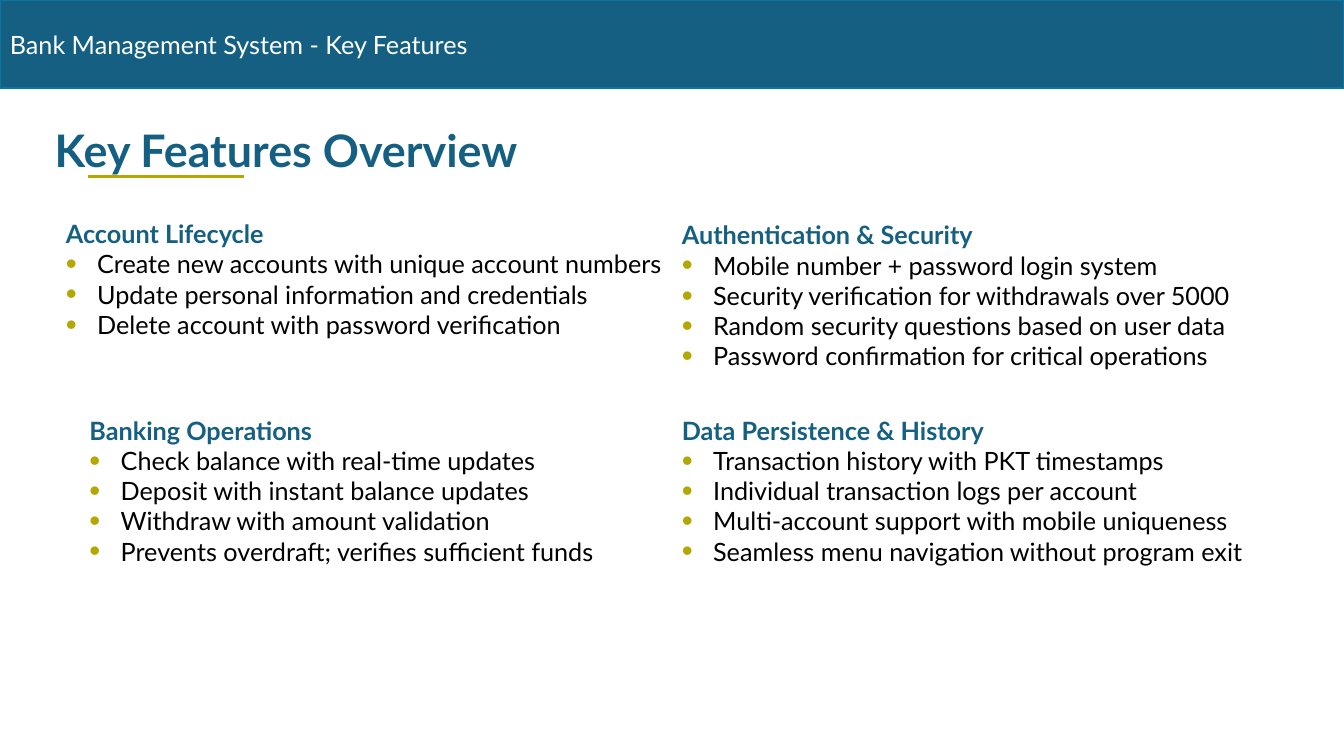
from lxml import etree
from pptx import Presentation
from pptx import util as u
from pptx.dml.color import RGBColor
from pptx.enum import shapes, text
from pptx.oxml import ns

SLIDE_WIDTH, SLIDE_HEIGHT = u.Inches(13.333), u.Inches(7.5)
COLUMN, ROW = SLIDE_WIDTH / 120, SLIDE_HEIGHT / 120

BLUE = RGBColor(0x15, 0x60, 0x82)
BORDER_BLUE = RGBColor(0x0B, 0x76, 0xA0)
OLIVE = RGBColor(0xB4, 0xA7, 0x00)
WHITE = RGBColor(0xFF, 0xFF, 0xFF)
BLACK = RGBColor(0x00, 0x00, 0x00)

FONT = "Lato"
BODY_SIZE = 18
BULLET_INDENT = u.Inches(0.31)

# Left, top, width and height in columns and rows; heading; bullet points
FEATURES = [
    ((5, 33.9, 55, 21), "Account Lifecycle", [
        "Create new accounts with unique account numbers",
        "Update personal information and credentials",
        "Delete account with password verification",
    ]),
    ((60, 34.1, 58.8, 26), "Authentication & Security", [
        "Mobile number + password login system",
        "Security verification for withdrawals over 5000",
        "Random security questions based on user data",
        "Password confirmation for critical operations",
    ]),
    ((7.1, 65.1, 53, 26), "Banking Operations", [
        "Check balance with real-time updates",
        "Deposit with instant balance updates",
        "Withdraw with amount validation",
        "Prevents overdraft; verifies sufficient funds",
    ]),
    ((60, 65.1, 53, 26), "Data Persistence & History", [
        "Transaction history with PKT timestamps",
        "Individual transaction logs per account",
        "Multi-account support with mobile uniqueness",
        "Seamless menu navigation without program exit",
    ]),
]


def place(left, top, width, height):
    """Turn columns and rows into slide lengths."""
    return (round(left * COLUMN), round(top * ROW),
            round(width * COLUMN), round(height * ROW))


def write(paragraph, words, color, size=BODY_SIZE, bold=False):
    paragraph.text = words
    paragraph.alignment = text.PP_ALIGN.LEFT
    for run in paragraph.runs:
        run.font.name = FONT
        run.font.size = u.Pt(size)
        run.font.bold = bold
        run.font.color.rgb = color


def add_bullet(paragraph):
    properties = paragraph._p.get_or_add_pPr()
    properties.set("marL", str(BULLET_INDENT))
    properties.set("indent", str(-BULLET_INDENT))
    color = etree.SubElement(properties, ns.qn("a:buClr"))
    etree.SubElement(color, ns.qn("a:srgbClr"), val=str(OLIVE))
    etree.SubElement(properties, ns.qn("a:buSzPct"), val="124000")
    etree.SubElement(properties, ns.qn("a:buFont"), typeface="Arial")
    etree.SubElement(properties, ns.qn("a:buChar"), char="•")


def add_text_frame(slide, area):
    text_frame = slide.shapes.add_textbox(*place(*area)).text_frame
    text_frame.word_wrap = True
    return text_frame


def add_title(slide, area, words):
    text_frame = add_text_frame(slide, area)
    text_frame.vertical_anchor = text.MSO_ANCHOR.BOTTOM
    paragraph = text_frame.paragraphs[0]
    paragraph.line_spacing = 0.9
    write(paragraph, words, BLUE, size=32, bold=True)


def add_banner(slide, area, words):
    banner = slide.shapes.add_shape(shapes.MSO_SHAPE.RECTANGLE, *place(*area))
    banner.shadow.inherit = False
    banner.fill.solid()
    banner.fill.fore_color.rgb = BLUE
    banner.line.color.rgb = BORDER_BLUE
    banner.line.width = u.Pt(1.5)
    banner.text_frame.vertical_anchor = text.MSO_ANCHOR.MIDDLE
    write(banner.text_frame.paragraphs[0], words, WHITE)


def add_underline(slide, left, right, row):
    start, end, height = round(left * COLUMN), round(right * COLUMN), round(row * ROW)
    underline = slide.shapes.add_connector(
        shapes.MSO_CONNECTOR.STRAIGHT, start, height, end, height)
    underline.line.color.rgb = OLIVE
    underline.line.width = u.Pt(2)
    etree.SubElement(underline._element.spPr, ns.qn("a:effectLst"))


def add_feature(slide, area, heading, points):
    text_frame = add_text_frame(slide, area)
    text_frame.auto_size = text.MSO_AUTO_SIZE.SHAPE_TO_FIT_TEXT
    write(text_frame.paragraphs[0], heading, BLUE, bold=True)
    for point in points:
        paragraph = text_frame.add_paragraph()
        write(paragraph, point, BLACK)
        add_bullet(paragraph)


def main():
    presentation = Presentation()
    presentation.slide_width, presentation.slide_height = SLIDE_WIDTH, SLIDE_HEIGHT
    slide = presentation.slides.add_slide(presentation.slide_layouts[6])
    add_title(slide, (4, 14.9, 73, 14), "Key Features Overview")
    add_banner(slide, (0, 0, 120, 14), "Bank Management System - Key Features")
    add_underline(slide, 7.9, 21.8, 28)
    for area, heading, points in FEATURES:
        add_feature(slide, area, heading, points)
    presentation.save("out.pptx")


if __name__ == "__main__":
    main()
